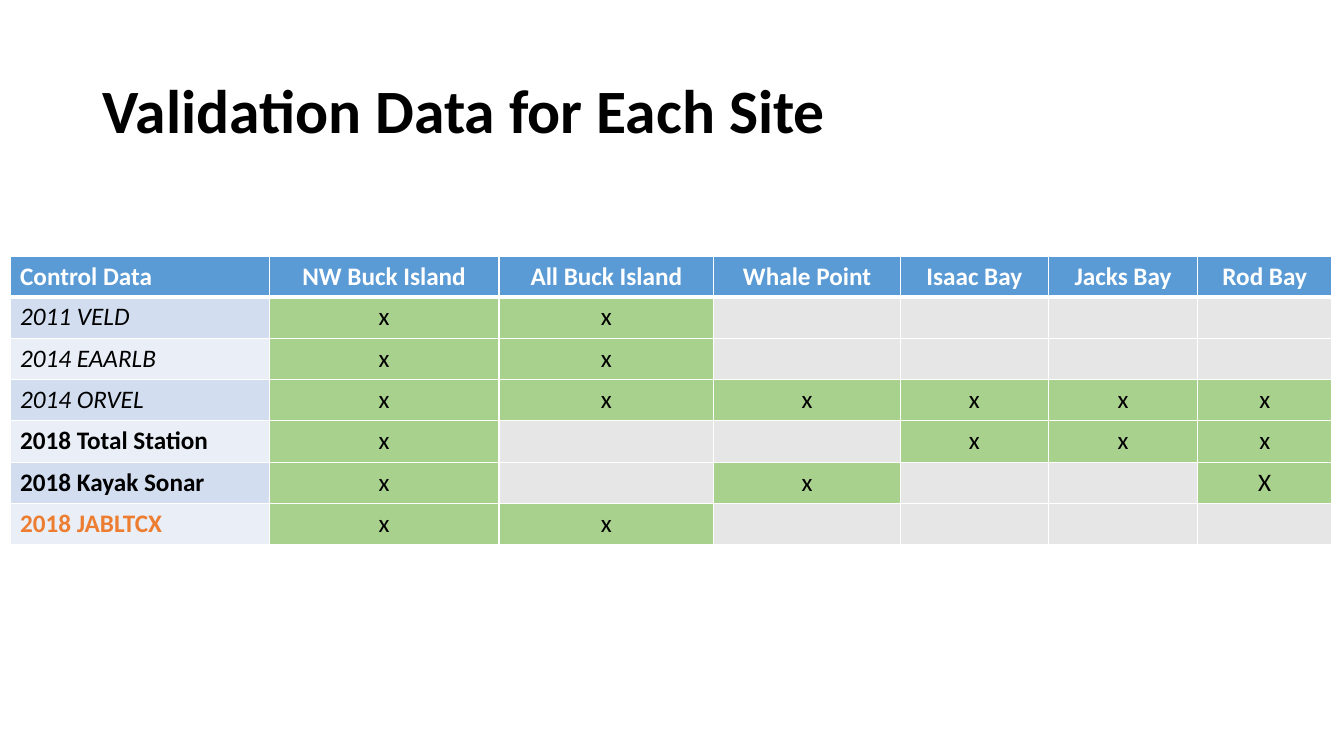
from dataclasses import dataclass

from lxml import etree
from pptx import Presentation
from pptx.dml.color import RGBColor
from pptx.enum import text
from pptx.oxml import ns
from pptx.util import Inches, Pt


@dataclass(frozen=True)
class Theme:
    font: str = "Calibri"
    title_size: int = 44
    table_size: int = 18
    black: str = "000000"
    white: str = "FFFFFF"
    accent: str = "ED7D31"
    header: str = "5B9BD5"
    bands: tuple = ("D2DEEF", "EAEFF7")
    available: str = "A9D18E"
    missing: str = "E7E6E6"


THEME = Theme()

SITES = ["NW Buck Island", "All Buck Island", "Whale Point",
         "Isaac Bay", "Jacks Bay", "Rod Bay"]
# Data set, style, and one mark per site ("-" means no data)
CONTROL_DATA = [
    ("2011 VELD", {"italic": True}, "xx----"),
    ("2014 EAARLB", {"italic": True}, "xx----"),
    ("2014 ORVEL", {"italic": True}, "xxxxxx"),
    ("2018 Total Station", {"bold": True}, "x--xxx"),
    ("2018 Kayak Sonar", {"bold": True}, "x-x--X"),
    ("2018 JABLTCX", {"bold": True, "color": THEME.accent}, "xx----"),
]
COLUMN_WIDTHS = [2.57, 2.28, 2.13, 1.85, 1.47, 1.48, 1.33]
HEADER_HEIGHT, ROW_HEIGHT = 0.35, 0.41


def style_font(paragraph, size, color=THEME.black, bold=False, italic=False):
    font = paragraph.font
    font.name, font.size = THEME.font, Pt(size)
    font.bold, font.italic = bold, italic
    font.color.rgb = RGBColor.from_string(color)


def add_title(slide, wording):
    title = slide.shapes.title
    title.left, title.top = Inches(0.92), Inches(0.4)
    title.width, title.height = Inches(11.5), Inches(1.45)
    frame = title.text_frame
    frame.text = wording
    frame.word_wrap = True
    frame.vertical_anchor = text.MSO_ANCHOR.MIDDLE
    paragraph = frame.paragraphs[0]
    paragraph.alignment = text.PP_ALIGN.LEFT
    paragraph.line_spacing = 0.9
    style_font(paragraph, THEME.title_size, bold=True)


def set_borders(cell, top=1, bottom=1):
    properties = cell._tc.get_or_add_tcPr()
    sides = {"lnL": 1, "lnR": 1, "lnT": top, "lnB": bottom}
    # Borders come before the fill in the cell properties
    for position, (side, width) in enumerate(sides.items()):
        line = etree.Element(ns.qn(f"a:{side}"), w=str(Pt(width)))
        fill = etree.SubElement(line, ns.qn("a:solidFill"))
        etree.SubElement(fill, ns.qn("a:srgbClr"), val=THEME.white)
        properties.insert(position, line)


def fill_cell(cell, wording, fill, centered=True, top=1, bottom=1, **style):
    cell.fill.solid()
    cell.fill.fore_color.rgb = RGBColor.from_string(fill)
    set_borders(cell, top, bottom)
    cell.text = wording
    paragraph = cell.text_frame.paragraphs[0]
    if centered:
        paragraph.alignment = text.PP_ALIGN.CENTER
    style_font(paragraph, THEME.table_size, **style)


def add_validation_table(slide):
    row_count = len(CONTROL_DATA) + 1
    height = HEADER_HEIGHT + ROW_HEIGHT * len(CONTROL_DATA)
    table = slide.shapes.add_table(
        row_count, len(COLUMN_WIDTHS), Inches(0.1), Inches(2.54),
        Inches(sum(COLUMN_WIDTHS)), Inches(height)).table
    for column, width in zip(table.columns, COLUMN_WIDTHS):
        column.width = Inches(width)
    for index, row in enumerate(table.rows):
        row.height = Inches(ROW_HEIGHT if index else HEADER_HEIGHT)

    # Header row
    for column, heading in enumerate(["Control Data"] + SITES):
        fill_cell(table.cell(0, column), heading, THEME.header,
                  centered=column > 0, bottom=3, color=THEME.white, bold=True)

    # One row per data set
    for row, (name, style, marks) in enumerate(CONTROL_DATA, start=1):
        top = 3 if row == 1 else 1
        fill_cell(table.cell(row, 0), name, THEME.bands[(row - 1) % 2],
                  centered=False, top=top, **style)
        for column, mark in enumerate(marks, start=1):
            has_data = mark != "-"
            fill_cell(table.cell(row, column), mark if has_data else "",
                      THEME.available if has_data else THEME.missing, top=top)


def main():
    presentation = Presentation()
    presentation.slide_width = Inches(13.33)
    presentation.slide_height = Inches(7.5)
    slide = presentation.slides.add_slide(presentation.slide_layouts[5])
    add_title(slide, "Validation Data for Each Site")
    add_validation_table(slide)
    presentation.save("out.pptx")


if __name__ == "__main__":
    main()
